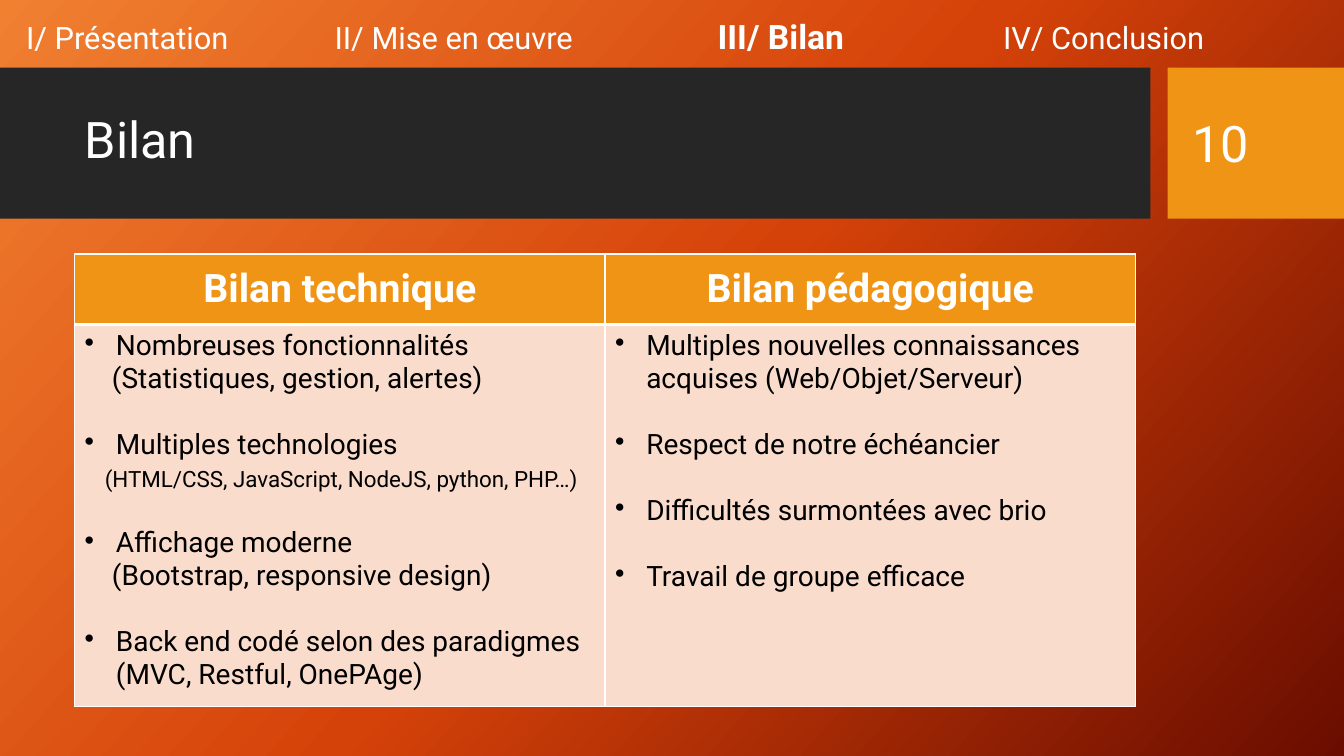
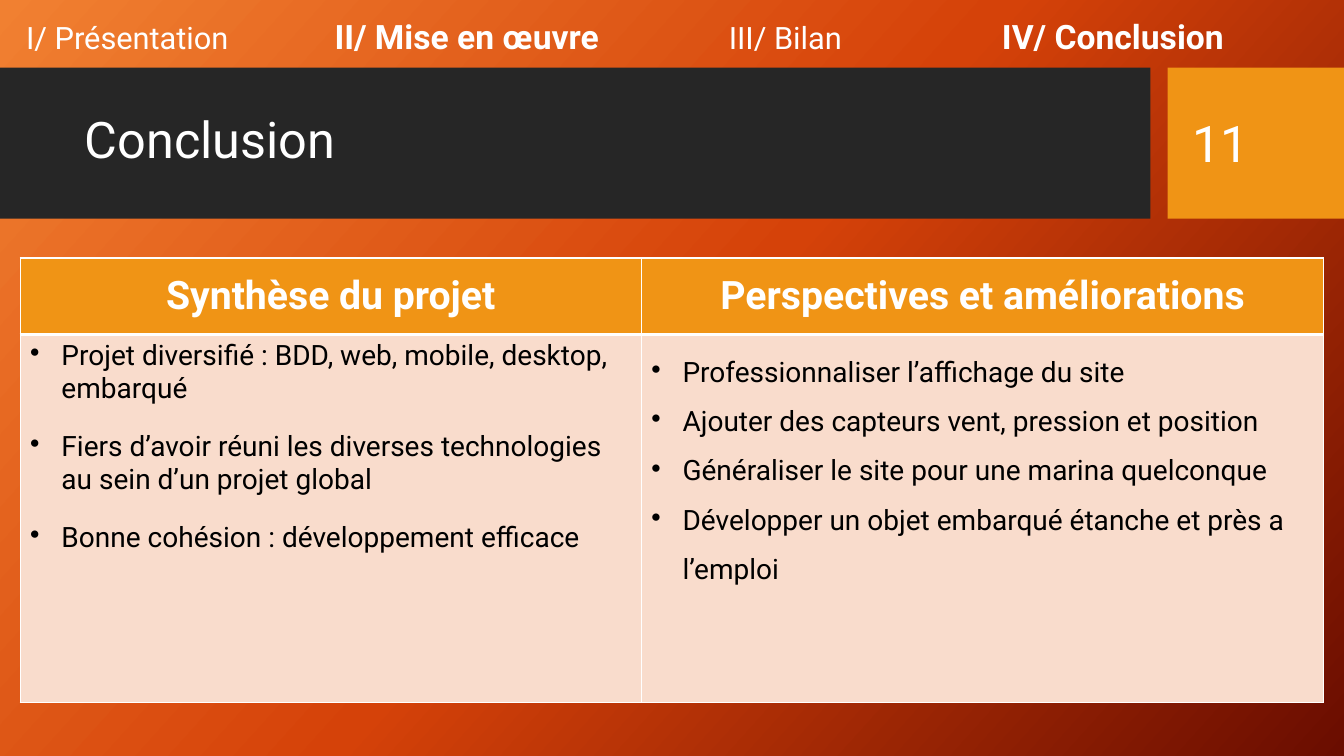
"""Build the two closing slides of the project talk: review and conclusion."""
from copy import deepcopy

from lxml.etree import SubElement
from pptx import Presentation
from pptx.dml.color import RGBColor
from pptx.enum.shapes import MSO_SHAPE
from pptx.enum.text import MSO_ANCHOR, MSO_AUTO_SIZE, PP_ALIGN
from pptx.oxml.ns import qn
from pptx.util import Inches, Pt

WHITE = RGBColor(0xFF, 0xFF, 0xFF)
BLACK = RGBColor(0, 0, 0)
DARK = RGBColor(0x26, 0x26, 0x26)
AMBER = RGBColor(0xF0, 0x94, 0x15)
PEACH = RGBColor(0xF9, 0xDC, 0xCC)
GLOW = [(0, RGBColor(0xF1, 0x80, 0x31)), (0.5, RGBColor(0xD5, 0x42, 0x09)),
        (1, RGBColor(0x6A, 0x0D, 0x00))]
FONT = "Roboto"
PARTS = ["I/ Présentation", "II/ Mise en œuvre", "III/ Bilan", "IV/ Conclusion"]
HANG = 0.31


def write(par, text, size=20, color=BLACK, bold=False):
    run = par.add_run()
    run.text = text
    font = run.font
    font.name, font.size, font.bold = FONT, Pt(size), bold
    font.color.rgb = color


class Deck:
    def __init__(self):
        self.prs = Presentation()
        self.prs.slide_width, self.prs.slide_height = Inches(13.33), Inches(7.5)
        self.slide = None
        master = self.prs.slide_master
        fill = master.background.fill
        fill.gradient()
        fill.gradient_angle = 318
        stops = master.element.find(".//" + qn("a:gsLst"))
        stops.append(deepcopy(stops[0]))
        for stop, (place, color) in zip(fill.gradient_stops, GLOW):
            stop.position = place
            stop.color.rgb = color

    def page(self, title, number, bold, tabs):
        self.slide = self.prs.slides.add_slide(self.prs.slide_layouts[5])
        self.band(0, 11.41, DARK)
        self.band(11.58, 1.75, AMBER)
        self.title(title)
        self.label(number, 11.73, 0.82, 1.26, 1.19)
        self.menu(bold, tabs)

    def band(self, left, width, color):
        shape = self.slide.shapes.add_shape(
            MSO_SHAPE.RECTANGLE, Inches(left), Inches(0.67), Inches(width), Inches(1.5))
        shape.shadow.inherit = False
        shape.fill.solid()
        shape.fill.fore_color.rgb = color
        shape.line.fill.background()
        shape.element.getparent().insert(2, shape.element)

    def title(self, text):
        shape = self.slide.shapes.title
        shape.left, shape.top = Inches(0.74), Inches(0.82)
        shape.width, shape.height = Inches(10.51), Inches(1.18)
        frame = shape.text_frame
        frame.auto_size = MSO_AUTO_SIZE.NONE
        frame.vertical_anchor = MSO_ANCHOR.MIDDLE
        par = frame.paragraphs[0]
        par.alignment = PP_ALIGN.LEFT
        par.line_spacing = 0.9
        write(par, text, size=36, color=WHITE)

    def box(self, left, top, width, height):
        frame = self.slide.shapes.add_textbox(
            Inches(left), Inches(top), Inches(width), Inches(height)).text_frame
        frame.word_wrap = True
        return frame

    def label(self, text, *place):
        frame = self.box(*place)
        frame.vertical_anchor = MSO_ANCHOR.MIDDLE
        write(frame.paragraphs[0], text, size=36, color=WHITE)

    def menu(self, bold, tabs):
        par = self.box(0.16, 0.11, 13.17, 0.5).paragraphs[0]
        stops = SubElement(par._p.get_or_add_pPr(), qn("a:tabLst"))
        for tab in tabs:
            SubElement(stops, qn("a:tab"), pos=str(Inches(tab)), algn="l")
        for i, part in enumerate(PARTS):
            if i:
                write(par, "\t", size=22, color=WHITE)
            strong = i in bold
            write(par, part, size=24 if strong else 22, color=WHITE, bold=strong)

    def table(self, left, top, cols, rows, heads, lists):
        grid = self.slide.shapes.add_table(
            2, 2, Inches(left), Inches(top), Inches(sum(cols)), Inches(sum(rows))).table
        grid.horz_banding = False
        for i in range(2):
            grid.columns[i].width = Inches(cols[i])
            grid.rows[i].height = Inches(rows[i])
            head = self.cell(grid.cell(0, i), AMBER, low=3)
            head.vertical_anchor = MSO_ANCHOR.MIDDLE
            par = head.text_frame.paragraphs[0]
            par.alignment = PP_ALIGN.CENTER
            write(par, heads[i], size=28, color=WHITE, bold=True)
            body = self.cell(grid.cell(1, i), PEACH, high=3)
            self.items(body.text_frame, lists[i])

    def cell(self, cell, color, high=1, low=1):
        props = cell._tc.get_or_add_tcPr()
        for side, width in (("L", 1), ("R", 1), ("T", high), ("B", low)):
            line = SubElement(props, qn("a:ln" + side), w=str(Pt(width)))
            paint = SubElement(line, qn("a:solidFill"))
            SubElement(paint, qn("a:srgbClr"), val=str(WHITE))
        cell.fill.solid()
        cell.fill.fore_color.rgb = color
        return cell

    def items(self, frame, rows):
        for i, (text, style) in enumerate(rows):
            par = frame.add_paragraph() if i else frame.paragraphs[0]
            self.item(par, text, **style)

    def item(self, par, text, size=20, inset=None, before=0, after=0, lines=1):
        props = par._p.get_or_add_pPr()
        props.set("marL", str(Inches(HANG if inset is None else inset)))
        props.set("indent", str(Inches(-HANG if inset is None else 0)))
        if inset is None:
            SubElement(props, qn("a:buChar"), char="•")
        par.space_before, par.space_after = Pt(before), Pt(after)
        par.line_spacing = lines
        write(par, text, size=size)


def points(*texts, **style):
    return [(text, style) for text in texts]


deck = Deck()
GAP = 23.5
NOTE = {"inset": 0.27, "after": GAP}

deck.page("Bilan", "10", bold=[2], tabs=[3.06, 6.86, 9.69])
deck.table(0.74, 2.52, [5.26, 5.26], [0.7, 3.79],
           ["Bilan technique", "Bilan pédagogique"], [
    [("Nombreuses fonctionnalités", {}),
     ("(Statistiques, gestion, alertes)", NOTE),
     ("Multiples technologies", {}),
     ("(HTML/CSS, JavaScript, NodeJS, python, PHP…)",
      {"size": 16, "inset": 0.2, "before": 3.7, "after": GAP + 1}),
     ("Affichage moderne", {}),
     ("(Bootstrap, responsive design)", NOTE),
     ("Back end codé selon des paradigmes (MVC, Restful, OnePAge)", {})],
    points("Multiples nouvelles connaissances acquises (Web/Objet/Serveur)",
           "Respect de notre échéancier",
           "Difficultés surmontées avec brio",
           "Travail de groupe efficace", after=GAP)])

deck.page("Conclusion", "11", bold=[1, 3], tabs=[3.06, 6.97, 9.68])
deck.table(0.2, 2.56, [6.16, 6.77], [0.76, 3.65],
           ["Synthèse du projet", "Perspectives et améliorations"], [
    points("Projet diversifié : BDD, web, mobile, desktop, embarqué",
           "Fiers d’avoir réuni les diverses technologies au sein d’un projet global",
           "Bonne cohésion : développement efficace", after=18),
    points("Professionnaliser l’affichage du site",
           "Ajouter des capteurs vent, pression et position",
           "Généraliser le site pour une marina quelconque",
           "Développer un objet embarqué étanche et près a l’emploi", lines=1.5)])

deck.prs.save("out.pptx")
